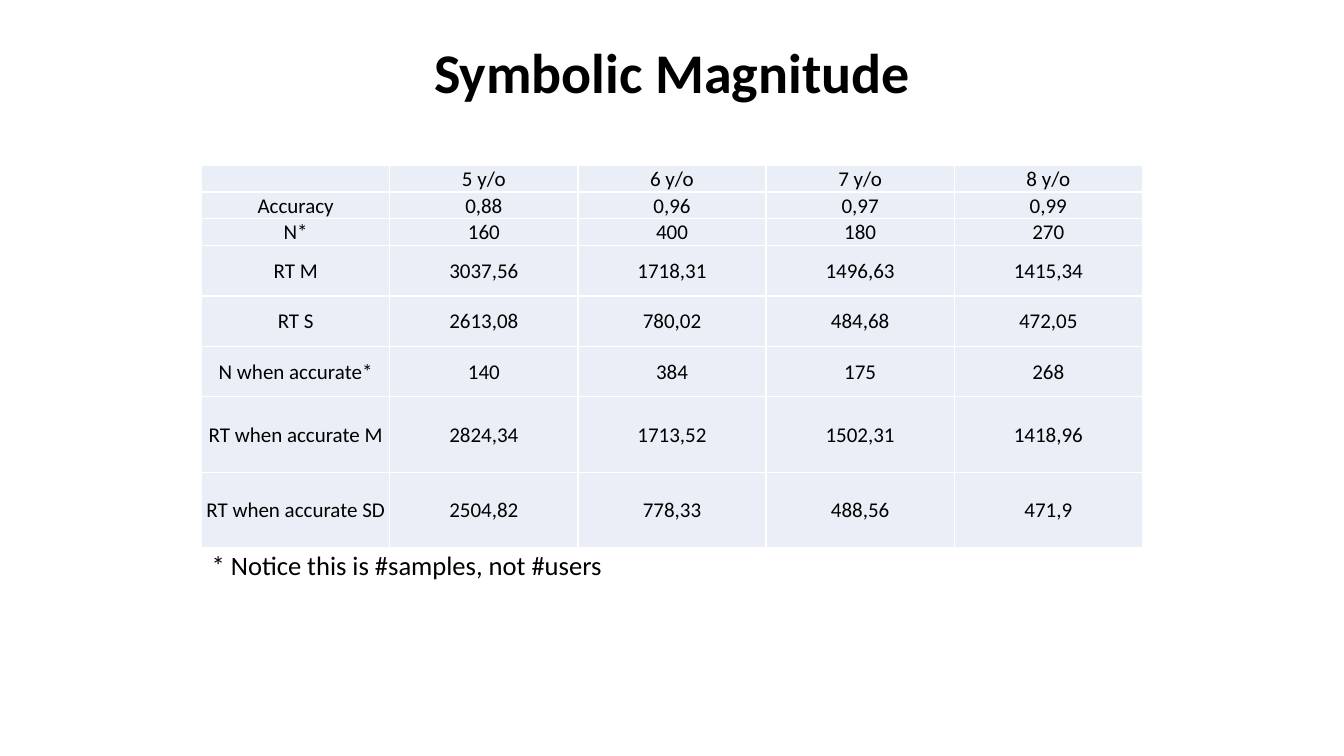
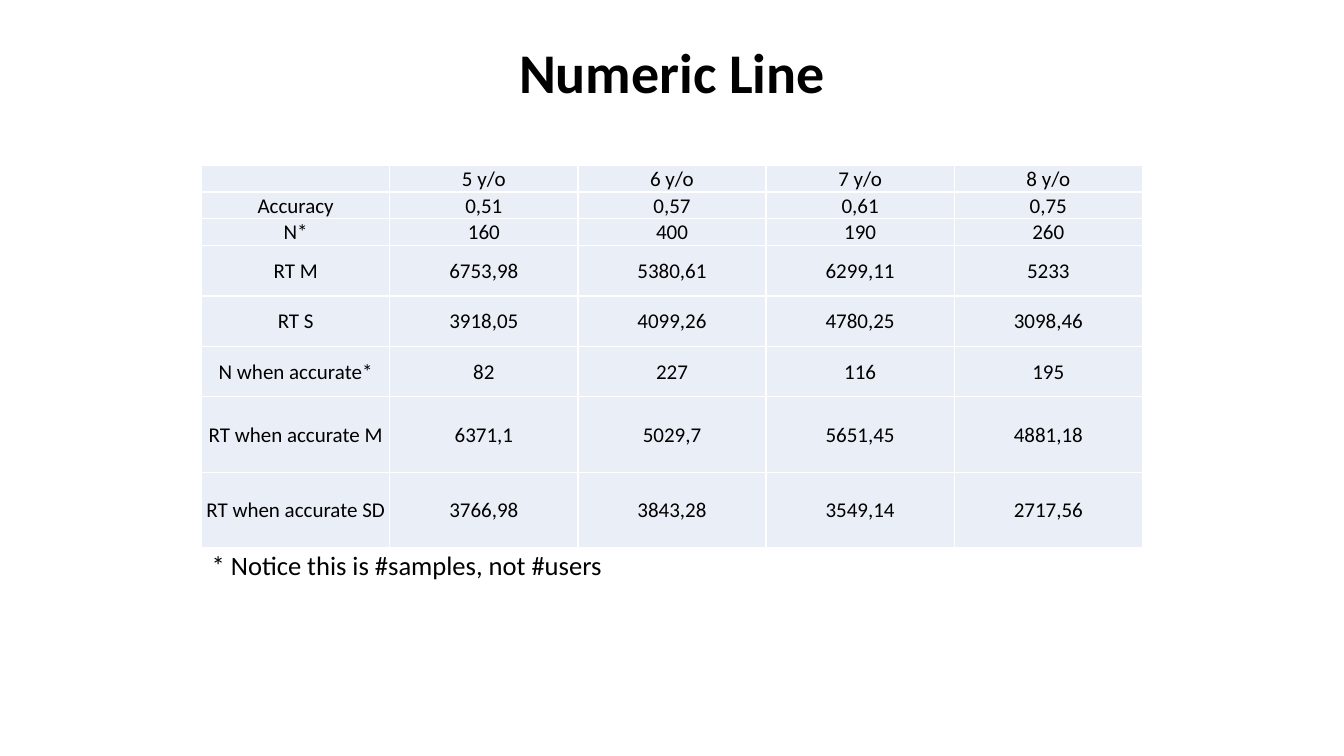
from dataclasses import dataclass

from lxml.etree import SubElement
from pptx import Presentation
from pptx.dml.color import RGBColor
from pptx.enum.text import MSO_ANCHOR as Anchor
from pptx.enum.text import MSO_AUTO_SIZE as AutoSize
from pptx.enum.text import PP_ALIGN as Align
from pptx.oxml.ns import qn
from pptx.slide import Slide
from pptx.table import _Cell as Cell
from pptx.text.text import TextFrame
from pptx.util import Inches, Pt

WIDTH, HEIGHT = 13.33, 7.5
FONT = "Calibri"
BLACK, WHITE, PALE = "000000", "FFFFFF", "EAEFF7"

MARGIN = 0.15 * WIDTH
COLUMN = 0.14 * WIDTH
UNIT = HEIGHT / 30
ROW_UNITS = (1.06, 1.06, 1.06, 2, 2, 2, 3, 3)
TABLE_TOP = 1.64
TABLE_HEIGHT = sum(ROW_UNITS) * UNIT
TITLE_WIDTH = 5.21

AGES = ("5 y/o", "6 y/o", "7 y/o", "8 y/o")
MEASURES = ("Accuracy", "N*", "RT M", "RT S", "N when accurate*",
            "RT when accurate M", "RT when accurate SD")
NOTE = "* Notice this is #samples, not #users"


@dataclass(frozen=True)
class Task:
    title: str
    results: tuple[tuple[str, ...], ...]

    def rows(self) -> list[tuple[str, ...]]:
        body = [(name, *values) for name, values in zip(MEASURES, self.results)]
        return [("", *AGES), *body]


TASKS = (
    Task("Symbolic Magnitude", (
        ("0,88", "0,96", "0,97", "0,99"),
        ("160", "400", "180", "270"),
        ("3037,56", "1718,31", "1496,63", "1415,34"),
        ("2613,08", "780,02", "484,68", "472,05"),
        ("140", "384", "175", "268"),
        ("2824,34", "1713,52", "1502,31", "1418,96"),
        ("2504,82", "778,33", "488,56", "471,9"),
    )),
    Task("Numeric Line", (
        ("0,51", "0,57", "0,61", "0,75"),
        ("160", "400", "190", "260"),
        ("6753,98", "5380,61", "6299,11", "5233"),
        ("3918,05", "4099,26", "4780,25", "3098,46"),
        ("82", "227", "116", "195"),
        ("6371,1", "5029,7", "5651,45", "4881,18"),
        ("3766,98", "3843,28", "3549,14", "2717,56"),
    )),
)


def color(value: str) -> RGBColor:
    return RGBColor.from_string(value)


def write(frame: TextFrame, text: str, *, size: float, bold: bool = False,
          align: Align = Align.CENTER, spacing: float = 1.0) -> None:
    para = frame.paragraphs[0]
    para.alignment = align
    para.line_spacing = spacing
    para.space_before = Pt(0)
    if not text:
        SubElement(para._p, qn("a:endParaRPr"), sz=str(int(size * 100)))
        return
    span = para.add_run()
    span.text = text
    span.font.name = FONT
    span.font.size = Pt(size)
    span.font.bold = bold
    span.font.color.rgb = color(BLACK)


def place(box, left: float, top: float, width: float, height: float) -> TextFrame:
    box.left, box.top = Inches(left), Inches(top)
    box.width, box.height = Inches(width), Inches(height)
    frame = box.text_frame
    frame.word_wrap = True
    frame.auto_size = AutoSize.NONE
    return frame


def add_title(page: Slide, text: str) -> None:
    frame = place(page.shapes.title, (WIDTH - TITLE_WIDTH) / 2, 0.32, TITLE_WIDTH, 0.77)
    frame.vertical_anchor = Anchor.TOP
    write(frame, text, size=40, bold=True)


def add_note(page: Slide) -> None:
    frame = place(page.placeholders[1], MARGIN, TABLE_TOP + TABLE_HEIGHT, 6.13, 1.17)
    frame.vertical_anchor = Anchor.TOP
    props = frame.paragraphs[0]._p.get_or_add_pPr()
    props.set("marL", "0")
    props.set("indent", "0")
    SubElement(props, qn("a:buNone"))
    write(frame, NOTE, size=19, align=Align.LEFT, spacing=0.9)


def format_cell(cell: Cell, text: str) -> None:
    cell.margin_left = cell.margin_right = cell.margin_top = Inches(0.01)
    cell.margin_bottom = 0
    cell.vertical_anchor = Anchor.MIDDLE
    props = cell._tc.get_or_add_tcPr()
    for side in ("lnL", "lnR", "lnT", "lnB"):
        line = SubElement(props, qn(f"a:{side}"), w=str(Pt(1)))
        fill = SubElement(line, qn("a:solidFill"))
        SubElement(fill, qn("a:srgbClr"), val=WHITE)
    cell.fill.solid()
    cell.fill.fore_color.rgb = color(PALE)
    write(cell.text_frame, text, size=15)


def add_results(page: Slide, task: Task) -> None:
    rows = task.rows()
    columns = len(rows[0])
    table = page.shapes.add_table(
        len(rows), columns, Inches(MARGIN), Inches(TABLE_TOP),
        Inches(columns * COLUMN), Inches(TABLE_HEIGHT)).table
    table.first_row = table.horz_banding = False
    for column in table.columns:
        column.width = Inches(COLUMN)
    for row, units, texts in zip(table.rows, ROW_UNITS, rows):
        row.height = Inches(units * UNIT)
        for cell, text in zip(row.cells, texts):
            format_cell(cell, text)


def main() -> None:
    deck = Presentation()
    deck.slide_width, deck.slide_height = Inches(WIDTH), Inches(HEIGHT)
    for task in TASKS:
        page = deck.slides.add_slide(deck.slide_layouts[1])
        add_title(page, task.title)
        add_note(page)
        add_results(page, task)
    deck.save("out.pptx")


if __name__ == "__main__":
    main()
